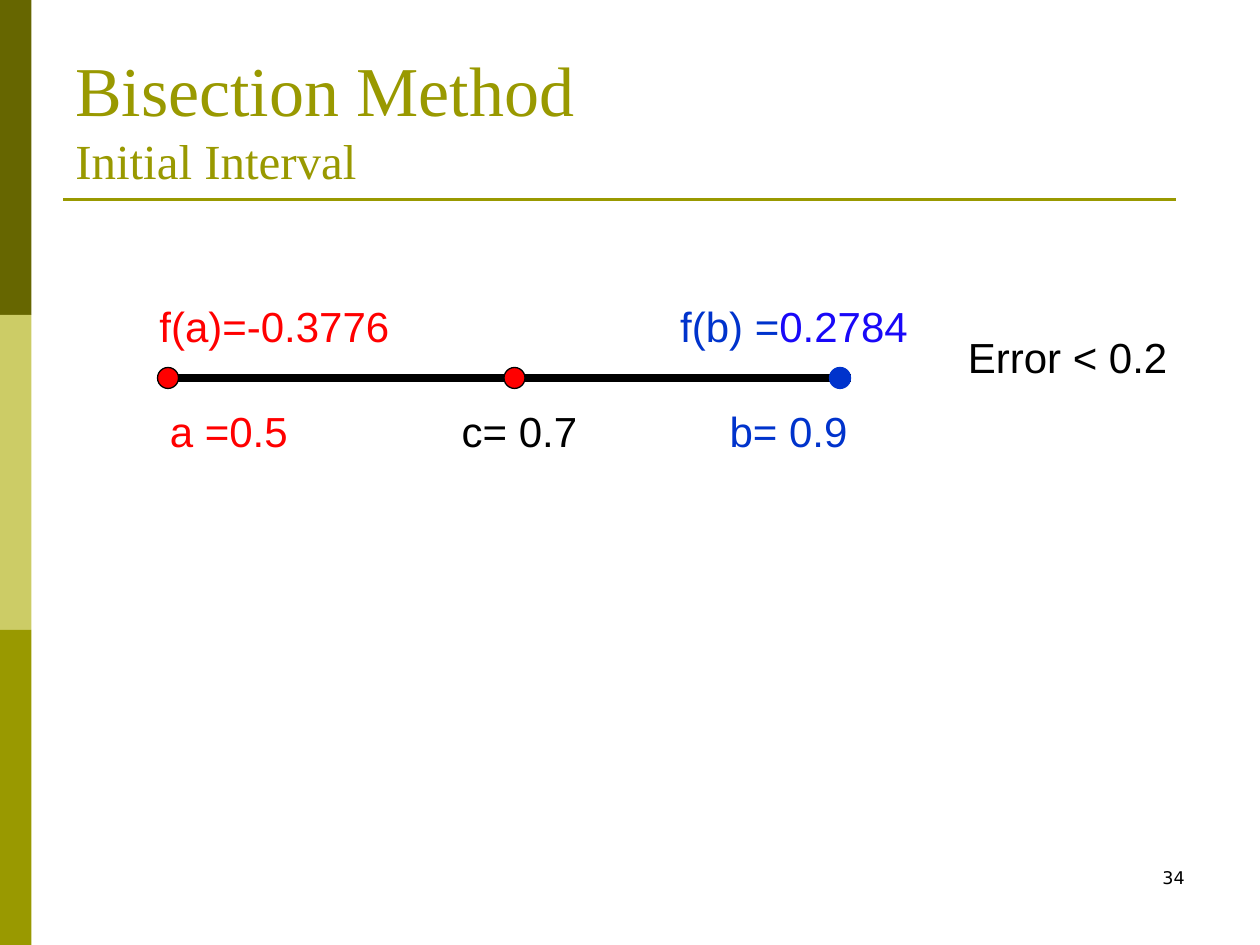
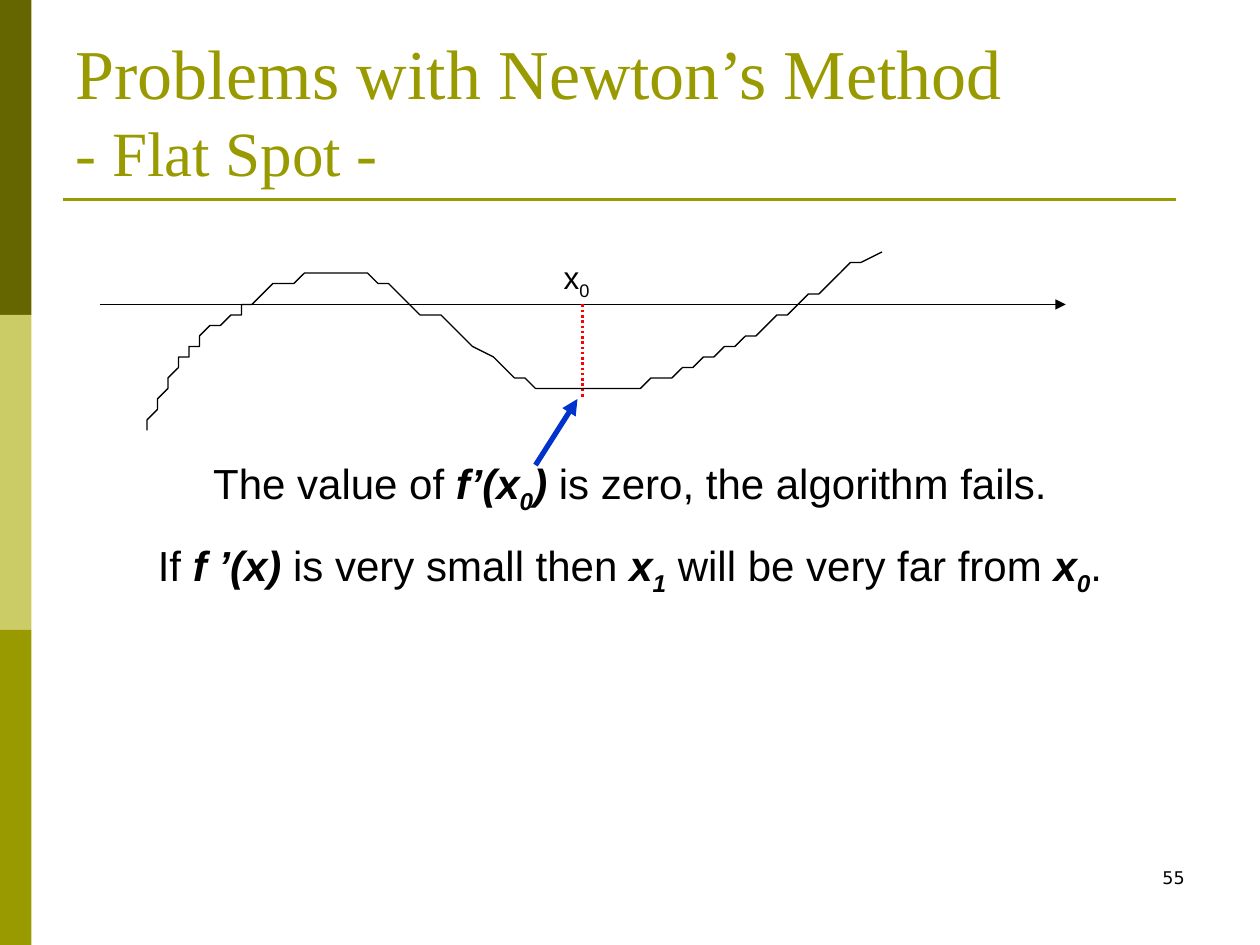
from typing import NamedTuple
from lxml.etree import SubElement
from pptx import Presentation
from pptx.dml.color import RGBColor
from pptx.enum.dml import MSO_LINE_DASH_STYLE as Dash
from pptx.enum.shapes import MSO_CONNECTOR as Link, MSO_SHAPE as Form
from pptx.enum.text import MSO_ANCHOR as Anchor, PP_ALIGN as Align
from pptx.oxml.ns import qn
from pptx.util import Emu, Pt

# Grid: 120 columns by 90 rows, twelve cells to the inch
CELL = 76200
COLS, ROWS = 120, 90

# Colours
OLIVE, DARK, PALE = "999900", "666600", "CCCC66"
BLACK, RED, BLUE, VIOLET = "000000", "FF0000", "0033CC", "1908F8"

# Run formats
BODY = {"name": "Arial", "size": Pt(24)}
SMALL = {"name": "Arial", "size": Pt(18)}
TITLE = {"name": "Times New Roman", "size": Pt(40)}
PAGE = {"name": "DejaVu Sans", "size": Pt(10)}
MATH = {"bold": True, "italic": True}


class Run(NamedTuple):
    text: str
    color: str = BLACK
    style: dict = {}
    sub: bool = False


class Box(NamedTuple):
    x: float
    y: float
    w: float
    h: float


class Dot(NamedTuple):
    x: float
    fill: str
    edge: str


class Line(NamedTuple):
    start: tuple
    end: tuple
    color: str = BLACK
    width: float = 0.75
    arrow: bool = False
    dash: object = None


def span(*cells: float) -> list:
    return [Emu(round(c * CELL)) for c in cells]


def paint(color, hue: str) -> None:
    color.rgb = RGBColor.from_string(hue)


def draw_form(slide, form, box: Box, fill: str, edge: str = "") -> None:
    shape = slide.shapes.add_shape(form, *span(*box))
    shape.shadow.inherit = False
    shape.fill.solid()
    paint(shape.fill.fore_color, fill)
    if edge:
        paint(shape.line.color, edge)
        shape.line.width = Pt(0.75)
    else:
        shape.line.fill.background()


def draw_line(slide, line: Line) -> None:
    link = slide.shapes.add_connector(
        Link.STRAIGHT, *span(*line.start, *line.end))
    paint(link.line.color, line.color)
    link.line.width = Pt(line.width)
    if line.dash:
        link.line.dash_style = line.dash
    if line.arrow:
        SubElement(link.line._get_or_add_ln(), qn("a:tailEnd"), type="triangle")
    SubElement(link._element.spPr, qn("a:effectLst"))


def write(slide, box: Box, paras: list, base: dict = BODY, align=Align.LEFT,
          anchor=Anchor.TOP, wrap: bool = True, tabs: tuple = ()) -> None:
    frame = slide.shapes.add_textbox(*span(*box)).text_frame
    for key, val in {"word_wrap": wrap, "vertical_anchor": anchor}.items():
        setattr(frame, key, val)
    for n, runs in enumerate(paras):
        para = frame.add_paragraph() if n else frame.paragraphs[0]
        para.alignment = align
        if n:
            para.space_before = Pt(14)
        if tabs:
            stops = SubElement(para._p.get_or_add_pPr(), qn("a:tabLst"))
            for pos in span(*tabs):
                SubElement(stops, qn("a:tab"), pos=str(pos), algn="l")
        for item in runs:
            if item.text == "\n":
                para.add_line_break()
                continue
            run = para.add_run()
            run.text = item.text
            for key, val in {**base, **item.style}.items():
                setattr(run.font, key, val)
            paint(run.font.color, item.color)
            if item.sub:
                run._r.get_or_add_rPr().set("baseline", "-25000")


def draw_curve(slide, start: tuple, bends: list, steps: int = 16) -> None:
    points, p = [], start
    for q, r, end in bends:
        for n in range(1, steps + 1):
            t = n / steps
            u = 1 - t
            points.append(tuple(
                u**3 * a + 3 * u * u * t * b + 3 * u * t * t * c + t**3 * d
                for a, b, c, d in zip(p, q, r, end)))
        p = end
    pen = slide.shapes.build_freeform(*start, scale=CELL)
    pen.add_line_segments(points, close=False)
    curve = pen.convert_to_shape()
    curve.shadow.inherit = False
    curve.fill.background()
    paint(curve.line.color, BLACK)
    curve.line.width = Pt(0.75)


def add_slide(deck, head: str, sub: str, size: int, page: str):
    slide = deck.slides.add_slide(deck.slide_layouts[6])
    # Side bands and title rule
    third = ROWS / 3
    for n, hue in enumerate((DARK, PALE, OLIVE)):
        draw_form(slide, Form.RECTANGLE, Box(0, n * third, 3, third), hue)
    draw_line(slide, Line((6, 19), (112, 19), OLIVE, 1.5))
    # Page number and title
    write(slide, Box(86, 82, 28, 6), [[Run(page)]], PAGE, Align.RIGHT)
    title = [Run(head, OLIVE), Run("\n"), Run(sub, OLIVE, {"size": Pt(size)})]
    write(slide, Box(6, 3.6, 108, 15), [title], TITLE, anchor=Anchor.BOTTOM)
    return slide


def bisect(deck) -> None:
    slide = add_slide(deck, "Bisection Method", "Initial Interval", 28, "34")
    # Labels below and above the interval
    write(slide, Box(15, 38, 73, 6), [[
        Run("a =0.5", RED), Run("\tc= 0.7"), Run("\tb= 0.9", BLUE)]],
        tabs=(27.8, 53.3))
    write(slide, Box(14, 28, 86, 6), [[
        Run("f(a)=-0.3776", RED), Run("\tf(b) =", BLUE),
        Run("0.2784", VIOLET)]], tabs=(49.6,))
    # Interval halves and points
    for left in (49, 16):
        draw_line(slide, Line((left, 36), (left + 32, 36), width=4.5))
    for dot in (Dot(79, BLUE, BLUE), Dot(48, RED, BLACK), Dot(15, RED, BLACK)):
        draw_form(slide, Form.OVAL, Box(dot.x, 35, 2, 2), dot.fill, dot.edge)
    write(slide, Box(91, 31, 24, 6), [[Run("Error < 0.2")]])


def newton(deck) -> None:
    slide = add_slide(deck, "Problems with Newton’s Method",
                      "- Flat Spot -", 36, "55")
    # Remarks
    write(slide, Box(9.5, 43, 101, 13.3), [
        [Run("The value of "), Run("f’(x", style=MATH),
         Run("0", style=MATH, sub=True), Run(")", style=MATH),
         Run(" is zero, the algorithm fails.")],
        [Run("If "), Run("f ’(x)", style=MATH),
         Run(" is very small then "), Run("x", style=MATH),
         Run("1", style=MATH, sub=True), Run(" will be very far from "),
         Run("x", style=MATH), Run("0", style=MATH, sub=True), Run(".")],
    ], align=Align.CENTER)
    # Axis, drop line and label
    draw_line(slide, Line((9.5, 29), (101.5, 29), arrow=True))
    draw_line(slide, Line((55.5, 29), (55.5, 38), RED, 1.5,
                          dash=Dash.ROUND_DOT))
    write(slide, Box(52.5, 24, 5, 4.8), [[Run("x"), Run("0", sub=True)]],
          SMALL, wrap=False)
    # Function curve and pointer to its flat spot
    draw_curve(slide, (13.5, 41), [
        ((15.4, 37.2), (17.2, 33.5), (20.5, 31)),
        ((23.9, 28.6), (28.2, 25), (33.5, 26)),
        ((38.9, 27), (46.8, 35.6), (52.5, 37)),
        ((58.2, 38.3), (62.3, 36.1), (67.5, 34)),
        ((72.7, 31.8), (78.1, 28), (83.5, 24)),
    ])
    draw_line(slide, Line((51, 44.3), (55, 38), BLUE, 3, arrow=True))


def main() -> None:
    deck = Presentation()
    deck.slide_width, deck.slide_height = span(COLS, ROWS)
    bisect(deck)
    newton(deck)
    deck.save("out.pptx")


if __name__ == "__main__":
    main()
